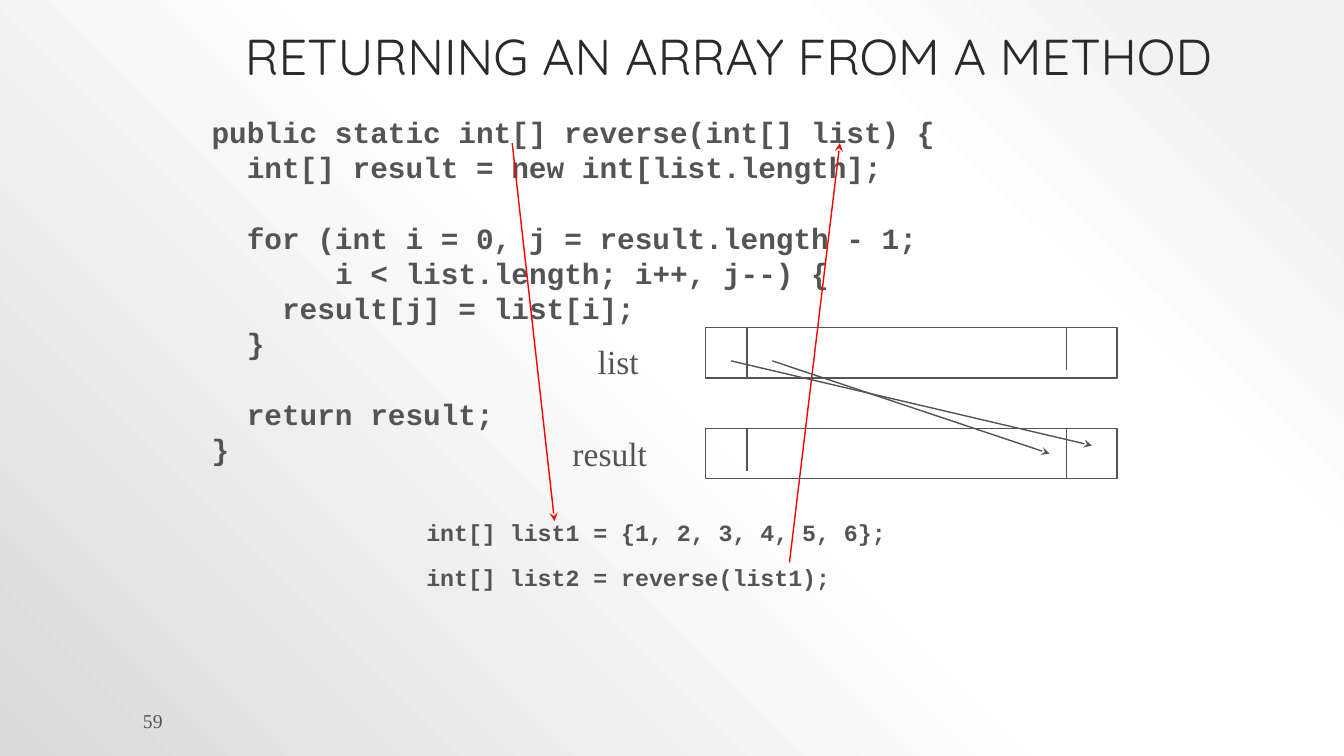
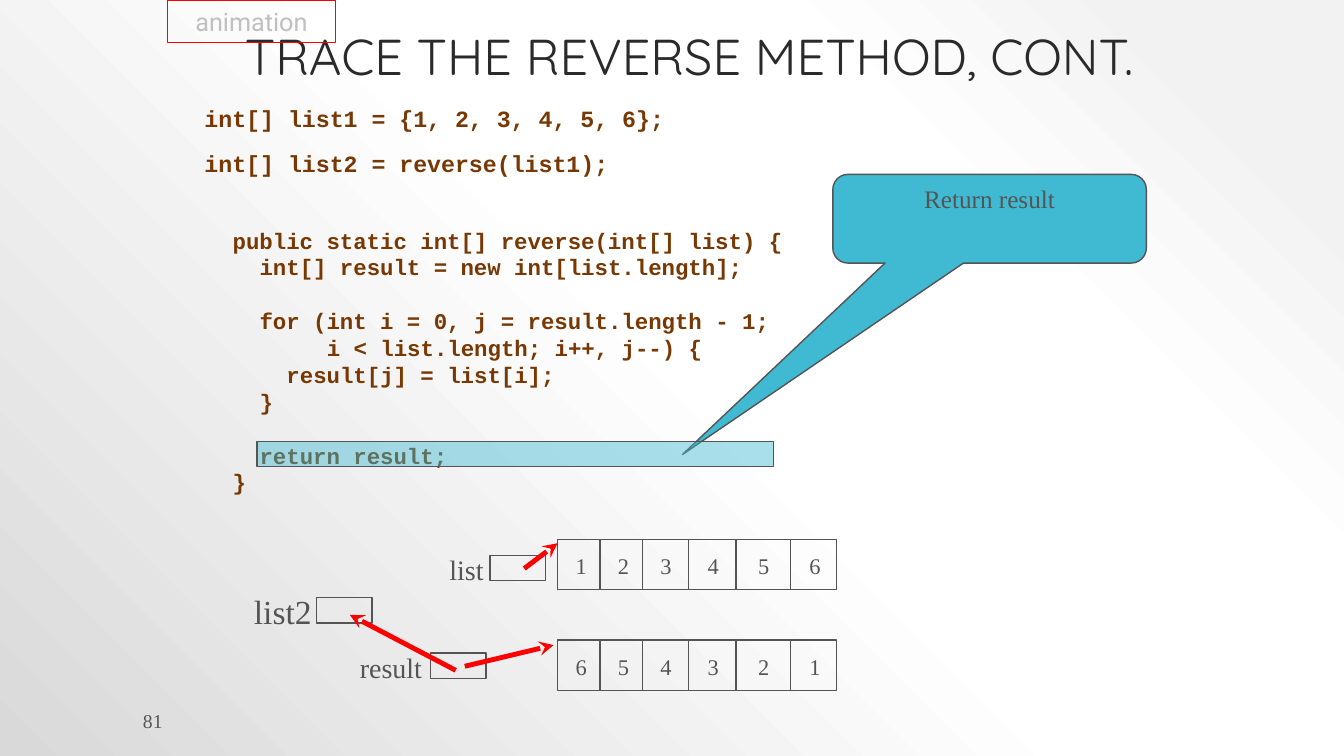
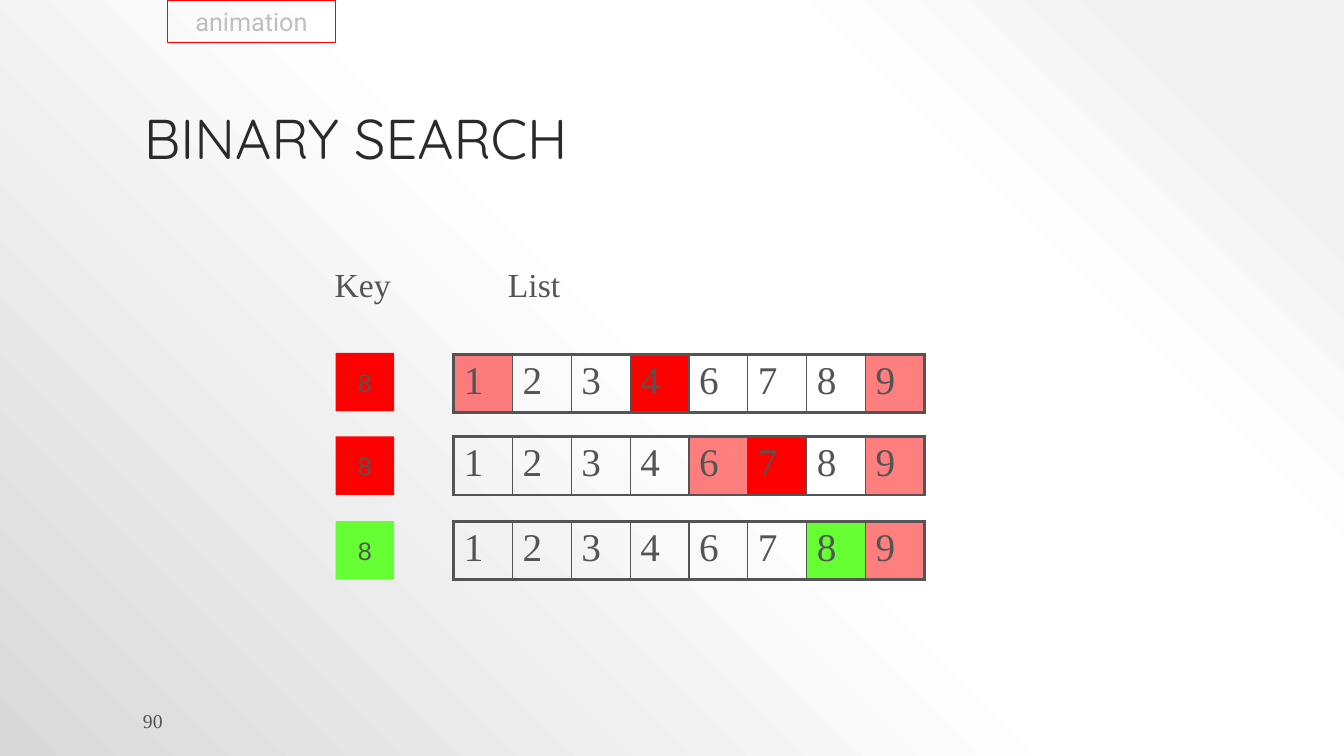
"""Build three slides on returning arrays from methods and binary search."""
import pptx
import pptx.dml.color
import pptx.enum.shapes
import pptx.enum.text
import pptx.oxml
import pptx.oxml.ns
import pptx.util
from lxml import etree
from pptx.util import Inches, Pt

SHAPE = pptx.enum.shapes.MSO_SHAPE
ALIGN = pptx.enum.text.PP_ALIGN
ANCHOR = pptx.enum.text.MSO_ANCHOR


class Theme:
    ink, title_ink, code_brown, faint = "545454", "2A2A2A", "773804", "BFBFBF"
    red, green, teal = "FF0000", "66FF33", "40BAD2"
    background = [(10, "F2F2F2"), (28, "FFFFFF"), (48, "FFFFFF"), (100, "D9D9D9")]
    title_font, tag_font, key_font = "Quicksand", "Roboto", "Arial"
    code_font, serif = "Courier New", "Times New Roman"
    title, large_title, number, digit, call, tag = 36, 40, 14, 16, 16.6, 18
    label, small_label, cell = 24, 20, 28
    thin, border, thick = 1, 2.25, 3.5


REVERSE_METHOD = [
    (0, "public static int[] reverse(int[] list) {", False),
    (2, "int[] result = new int[list.length];", False),
    (2, "for (int i = 0, j = result.length - 1;", True),
    (7, "i < list.length; i++, j--) {", False),
    (4, "result[j] = list[i];", False),
    (2, "}", False),
    (2, "return result;", True),
    (0, "}", False),
]
CALLS = ["int[] list1 = {1, 2, 3, 4, 5, 6};", "int[] list2 = reverse(list1);"]

ARRAY_BARS = [(7, 3.25, 4.08, 0.5), (7, 4.25, 4.08, 0.5)]
BAR_DIVIDERS = [(7.41, 3.25, 0.5), (7.41, 4.25, 0.42), (10.58, 4.25, 0.5), (10.58, 3.25, 0.42)]
BAR_LABELS = [("list", (5.83, 3.33, 0.83, 0.5)), ("result", (5.58, 4.25, 1.17, 0.5))]
PASSING_ARROWS = [((7.83, 5.58), (8.33, 1.42)), ((5.08, 1.42), (5.5, 5.17))]
COPY_ARROWS = [((7.25, 3.58), (10.83, 4.42)), ((7.66, 3.58), (10.41, 4.5))]

TRACED_ARRAYS = [(5.35, "123456"), (6.35, "654321")]
TRACE_EDGES = [5.53, 5.95, 6.37, 6.83, 7.3, 7.84, 8.3]
DIGIT_LEFTS = [5.61, 6.03, 6.45, 6.92, 7.42, 7.93]
REFERENCES = [
    ("list", Theme.small_label, (4.36, 5.43, 0.83, 0.43), (4.86, 5.51)),
    ("result", Theme.small_label, (3.47, 6.4, 0.84, 0.43), (4.27, 6.48)),
    ("list2", Theme.label, (2.42, 5.81, 1.17, 0.5), (3.14, 5.93)),
]
REFERENCE_ARROWS = [((4.61, 6.61), (5.49, 6.4)), ((5.2, 5.64), (5.53, 5.39)), ((4.52, 6.65), (3.47, 6.1))]

SEARCH_VALUES = [1, 2, 3, 4, 6, 7, 8, 9]
SEARCH_LABELS = [("Key", (3.22, 2.57, 1.22, 0.5)), ("List", (4.94, 2.57, 2.44, 0.5))]
BOUND, MISS, HIT = (Theme.red, 50), (Theme.red, 100), (Theme.green, 100)
SEARCH_STEPS = [
    (3.5, 3.52, 0.57, Theme.red, {1: BOUND, 4: MISS, 9: BOUND}),
    (4.33, 4.33, 0.58, Theme.red, {6: BOUND, 7: MISS, 9: BOUND}),
    (5.17, 5.17, 0.58, Theme.green, {8: HIT, 9: BOUND}),
]


def rgb(color):
    return pptx.dml.color.RGBColor.from_string(color)


def paint(fill, color, opacity=100):
    if color is None:
        fill.background()
        return
    fill.solid()
    fill.fore_color.rgb = rgb(color)


def set_opacity(properties, opacity):
    color = properties.find(".//" + pptx.oxml.ns.qn("a:srgbClr"))
    etree.SubElement(color, pptx.oxml.ns.qn("a:alpha")).set("val", str(opacity * 1000))


def style(paragraph, text, size, font, color, bold=False, align=ALIGN.LEFT):
    paragraph.text = text
    paragraph.alignment = align
    paragraph.font.size = Pt(size)
    paragraph.font.name = font
    paragraph.font.bold = bold
    paragraph.font.color.rgb = rgb(color)


def indent(paragraph, left, first=0):
    properties = paragraph._p.get_or_add_pPr()
    properties.set("marL", str(int(left)))
    properties.set("indent", str(int(first)))


def add_text(slide, box, text, size, font=Theme.serif, color=Theme.ink, anchor=ANCHOR.TOP):
    frame = slide.shapes.add_textbox(*map(Inches, box)).text_frame
    frame.word_wrap = True
    frame.vertical_anchor = anchor
    style(frame.paragraphs[0], text, size, font, color)
    return frame


def add_box(slide, box, fill=None, line=Theme.ink, kind=SHAPE.RECTANGLE):
    shape = slide.shapes.add_shape(kind, *map(Inches, box))
    shape.shadow.inherit = False
    paint(shape.fill, fill)
    paint(shape.line.fill, line)
    if line:
        shape.line.width = Pt(Theme.thin)
    return shape


def add_centered(shape, text, size, font, color):
    frame = shape.text_frame
    frame.word_wrap = False
    frame.vertical_anchor = ANCHOR.MIDDLE
    style(frame.paragraphs[0], text, size, font, color, align=ALIGN.CENTER)


def add_line(slide, start, end, color=Theme.ink, width=Theme.thin, arrow=False):
    connector = slide.shapes.add_connector(
        pptx.enum.shapes.MSO_CONNECTOR.STRAIGHT, *map(Inches, start + end))
    connector.line.color.rgb = rgb(color)
    connector.line.width = Pt(width)
    if arrow:
        line = connector.line._get_or_add_ln()
        etree.SubElement(line, pptx.oxml.ns.qn("a:tailEnd")).set("type", "stealth")
    etree.SubElement(connector._element.spPr, pptx.oxml.ns.qn("a:effectLst"))


def add_method(slide, box, size, color):
    frame = slide.shapes.add_textbox(*map(Inches, box)).text_frame
    frame.word_wrap = True
    for index, (columns, text, gap) in enumerate(REVERSE_METHOD):
        paragraph = frame.paragraphs[0] if index == 0 else frame.add_paragraph()
        style(paragraph, text, size, Theme.code_font, color, bold=True)
        indent(paragraph, Pt(columns * size * 0.6))
        if gap:
            paragraph.space_before = Pt(round(size * 1.2, 1))


def add_calls(slide, left, top, color):
    frame = slide.shapes.add_textbox(*map(Inches, (left, top, 7.33, 0.75))).text_frame
    frame.word_wrap = True
    for index, text in enumerate(CALLS):
        paragraph = frame.paragraphs[0] if index == 0 else frame.add_paragraph()
        style(paragraph, text, Theme.call, Theme.code_font, color, bold=True)
        indent(paragraph, Inches(0.3), Inches(-0.25))
        paragraph.line_spacing = 0.7
        paragraph.space_before = Pt(18)


def add_tag(slide):
    tag = add_box(slide, (1.66, 0, 1.67, 0.42), line=Theme.red)
    add_centered(tag, "animation", Theme.tag, Theme.tag_font, Theme.faint)


def set_background(master):
    master.background.fill.solid()
    properties = master.element.xpath("p:cSld/p:bg/p:bgPr")[0]
    stops = "".join(
        f'<a:gs pos="{position * 1000}"><a:srgbClr val="{color}"/></a:gs>'
        for position, color in Theme.background)
    properties.replace(properties[0], pptx.oxml.parse_xml(
        f'<a:gradFill {pptx.oxml.ns.nsdecls("a")} rotWithShape="1"><a:gsLst>{stops}</a:gsLst>'
        '<a:path path="circle"><a:fillToRect l="100000" b="100000"/></a:path></a:gradFill>'))


def new_slide(presentation, title, box, number, size=Theme.title):
    slide = presentation.slides.add_slide(presentation.slide_layouts[6])
    add_text(slide, (1.32, 7.05, 7.26, 0.2), number, Theme.number, anchor=ANCHOR.MIDDLE)
    frame = add_text(slide, box, title, size, Theme.title_font, Theme.title_ink, ANCHOR.BOTTOM)
    frame.paragraphs[0].line_spacing = 0.9
    return slide


def set_borders(cell, left, right):
    properties = cell._tc.get_or_add_tcPr()
    widths = {"lnL": left, "lnR": right, "lnT": Theme.border, "lnB": Theme.border}
    for index, (side, width) in enumerate(widths.items()):
        properties.insert(index, pptx.oxml.parse_xml(
            f'<a:{side} {pptx.oxml.ns.nsdecls("a")} w="{Pt(width)}"><a:solidFill>'
            f'<a:srgbClr val="{Theme.ink}"/></a:solidFill></a:{side}>'))


def add_search_row(slide, top, height, marks):
    count = len(SEARCH_VALUES)
    table = slide.shapes.add_table(
        1, count, Inches(4.5), Inches(top), Inches(4.67), Inches(height)).table
    table.first_row = table.horz_banding = False
    for index, value in enumerate(SEARCH_VALUES):
        cell = table.cell(0, index)
        style(cell.text_frame.paragraphs[0], str(value), Theme.cell, Theme.serif, Theme.ink)
        color, opacity = marks.get(value, (None, 100))
        paint(cell.fill, color)
        if opacity < 100:
            set_opacity(cell._tc.tcPr, opacity)
        set_borders(cell, Theme.border if index == 0 else Theme.thin,
                    Theme.border if index == count - 1 else Theme.thin)


def build_returning(presentation):
    slide = new_slide(presentation, "RETURNING AN ARRAY FROM A METHOD", (2.33, 0.33, 10.08, 0.58), "59")
    add_method(slide, (2, 1.08, 9.33, 1.83), 21, Theme.ink)
    add_calls(slide, 4.08, 5.17, Theme.ink)
    for start, end in PASSING_ARROWS:
        add_line(slide, start, end, Theme.red, arrow=True)
    for box in ARRAY_BARS:
        add_box(slide, box)
    for left, top, length in BAR_DIVIDERS:
        add_line(slide, (left, top), (left, top + length))
    for text, box in BAR_LABELS:
        add_text(slide, box, text, Theme.label)
    for start, end in COPY_ARROWS:
        add_line(slide, start, end, arrow=True)


def build_trace(presentation):
    slide = new_slide(presentation, "TRACE THE REVERSE METHOD, CONT.", (2.33, 0.33, 10, 0.58), "81")
    add_method(slide, (2.21, 2.2, 5.76, 2.79), 16, Theme.code_brown)
    add_calls(slide, 1.88, 1.06, Theme.code_brown)
    for top, digits in TRACED_ARRAYS:
        add_box(slide, (TRACE_EDGES[0], top, TRACE_EDGES[-1] - TRACE_EDGES[0], 0.5))
        for edge in TRACE_EDGES[1:-1]:
            add_line(slide, (edge, top), (edge, top + 0.5))
        for left, digit in zip(DIGIT_LEFTS, digits):
            add_text(slide, (left, top + 0.08, 0.25, 0.37), digit, Theme.digit)
    callout = add_box(slide, (8.26, 1.73, 3.11, 0.88), Theme.teal, kind=SHAPE.ROUNDED_RECTANGULAR_CALLOUT)
    for index, value in enumerate((-0.98, 2.66, 0.17)):
        callout.adjustments[index] = value
    add_centered(callout, "Return result", Theme.tag, Theme.serif, Theme.ink)
    callout.text_frame.word_wrap = True
    callout.text_frame.vertical_anchor = ANCHOR.TOP
    highlight = add_box(slide, (2.55, 4.38, 5.12, 0.25), Theme.teal)
    set_opacity(highlight._element.spPr, 45)
    for text, size, label_box, (left, top) in REFERENCES:
        add_text(slide, label_box, text, size)
        add_box(slide, (left, top, 0.55, 0.25))
    for start, end in REFERENCE_ARROWS:
        add_line(slide, start, end, Theme.red, Theme.thick, arrow=True)
    add_tag(slide)


def build_search(presentation):
    slide = new_slide(presentation, "BINARY SEARCH", (1.33, 0.3, 10.67, 1.45), "90", Theme.large_title)
    for key_top, table_top, height, key_color, marks in SEARCH_STEPS:
        add_search_row(slide, table_top, height, marks)
        key = add_box(slide, (3.33, key_top, 0.58, 0.58), key_color, line=None)
        add_centered(key, "8", Theme.tag, Theme.key_font, Theme.ink)
    for text, box in SEARCH_LABELS:
        add_text(slide, box, text, Theme.label)
    add_tag(slide)


def main():
    presentation = pptx.Presentation()
    presentation.slide_width = Inches(13.33)
    presentation.slide_height = Inches(7.5)
    set_background(presentation.slide_master)
    build_returning(presentation)
    build_trace(presentation)
    build_search(presentation)
    presentation.save("out.pptx")


if __name__ == "__main__":
    main()
